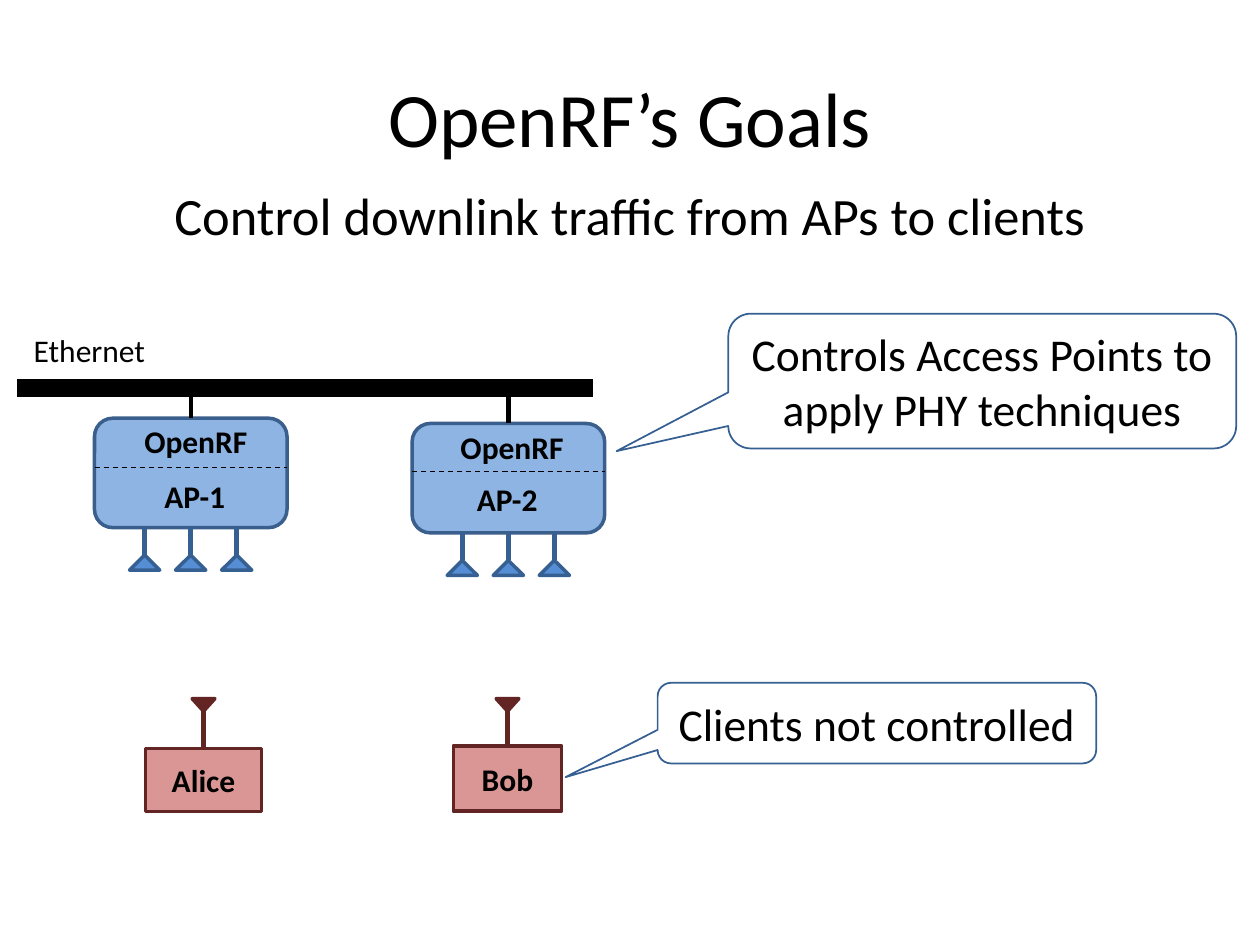
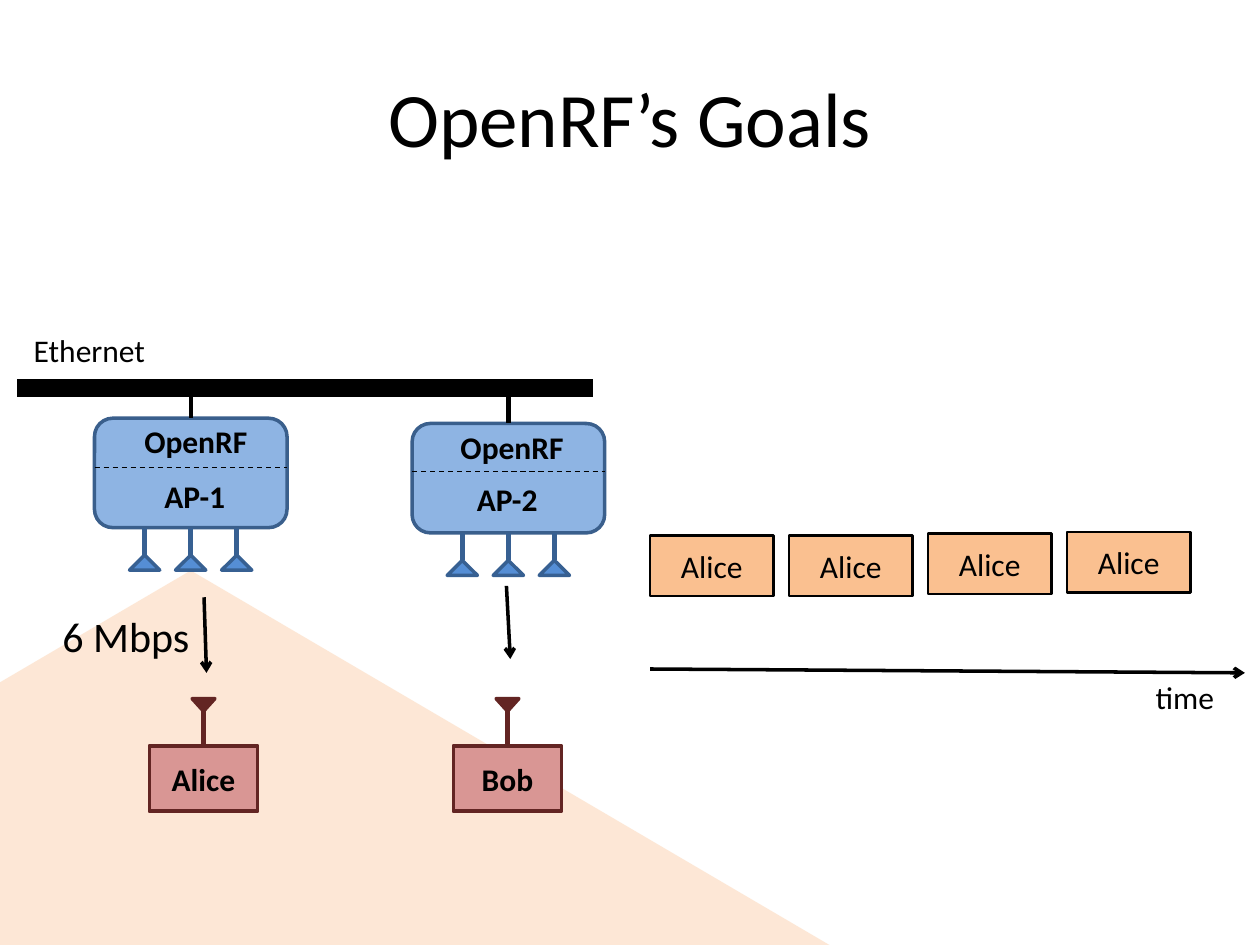
"""Build two slides on the goals of OpenRF with access points and clients."""
from lxml.etree import SubElement
from pptx import Presentation
from pptx.dml.color import RGBColor
from pptx.enum.dml import MSO_LINE_DASH_STYLE as Dash
from pptx.enum.shapes import MSO_CONNECTOR as Connector, MSO_SHAPE as Shape
from pptx.enum.text import MSO_ANCHOR as Anchor, MSO_AUTO_SIZE as AutoSize, PP_ALIGN as Align
from pptx.oxml.ns import qn
from pptx.util import Pt

FONT = "Calibri"
COLORS = {
    "black": "000000",
    "access_point": "8EB4E3",
    "access_point_edge": "3A5F8C",
    "antenna": "558ED5",
    "antenna_edge": "376092",
    "client": "D99694",
    "client_edge": "632523",
    "packet": "FAC090",
    "beam": "FCD5B5",
}


def draw_shape(slide, kind, box, fill=None, edge=None, width=1, text="", size=18, bold=False):
    lengths = [Pt(value) for value in box]
    if kind is None:
        shape = slide.shapes.add_textbox(*lengths)
    else:
        shape = slide.shapes.add_shape(kind, *lengths)
        shape.shadow.inherit = False
    if fill:
        shape.fill.solid()
        shape.fill.fore_color.rgb = RGBColor.from_string(COLORS[fill])
    else:
        shape.fill.background()
    if edge:
        shape.line.color.rgb = RGBColor.from_string(COLORS[edge])
        shape.line.width = Pt(width)
    else:
        shape.line.fill.background()
    if text:
        frame = shape.text_frame
        frame.text = text
        frame.word_wrap = kind is not None
        if kind is not None:
            frame.vertical_anchor = Anchor.MIDDLE
            frame.margin_left = frame.margin_right = frame.margin_top = frame.margin_bottom = 0
        paragraph = frame.paragraphs[0]
        paragraph.alignment = Align.CENTER
        font = paragraph.runs[0].font
        font.name, font.size, font.bold = FONT, Pt(size), bold
        font.color.rgb = RGBColor.from_string(COLORS["black"])
    return shape


def draw_line(slide, points, color="black", width=2, dash=None, arrow=False):
    connector = slide.shapes.add_connector(Connector.STRAIGHT, *[Pt(value) for value in points])
    connector.line.color.rgb = RGBColor.from_string(COLORS[color])
    connector.line.width = Pt(width)
    if dash:
        connector.line.dash_style = dash
    properties = connector._element.spPr
    if arrow:
        SubElement(properties.find(qn("a:ln")), qn("a:tailEnd"), type="arrow")
    SubElement(properties, qn("a:effectLst"))
    return connector


presentation = Presentation()
presentation.slide_width, presentation.slide_height = Pt(720), Pt(540)
goals_slide = presentation.slides.add_slide(presentation.slide_layouts[1])
traffic_slide = presentation.slides.add_slide(presentation.slide_layouts[5])

subtitle = goals_slide.placeholders[1]
subtitle.left, subtitle.top, subtitle.width, subtitle.height = Pt(0), Pt(101), Pt(720), Pt(49)
subtitle.text_frame.text = "Control downlink traffic from APs to clients"
subtitle.text_frame.auto_size = AutoSize.NONE
paragraph = subtitle.text_frame.paragraphs[0]
paragraph.alignment = Align.CENTER
paragraph.space_before = Pt(0)
paragraph_properties = paragraph._p.get_or_add_pPr()
paragraph_properties.set("marL", "0")
paragraph_properties.set("indent", "0")
SubElement(paragraph_properties, qn("a:buNone"))
font = paragraph.runs[0].font
font.name, font.size = FONT, Pt(30)
font.color.rgb = RGBColor.from_string(COLORS["black"])

beam = draw_shape(traffic_slide, Shape.TRAPEZOID, (-264.5, 326, 747, 219), "beam")
beam.adjustments[0] = 1.84
beam_color = beam._element.spPr.find(qn("a:solidFill"))[0]
SubElement(beam_color, qn("a:alpha"), val="55000")

BUS_Y = 221.8
AP_WIDTH, AP_HEIGHT = 110, 62.5
ANTENNA_GAP, ANTENNA_WIDTH, ANTENNA_HEIGHT = 26.3, 17.3, 8.6
access_points = [
    ("AP-1", 54, 239, 267, (81.4, 269.3, 59.8, 28.8), (74.9, 237.6, 74, 28.8)),
    ("AP-2", 235.5, 242, 269.3, (256.3, 270.7, 67, 28.8), (255.6, 241.2, 74, 28.8)),
]
narrow_client, wide_client = (426.2, 61.9, 37.4), (427.7, 66.2, 36)
ALICE_X, BOB_X = 116.3, 290

for slide, alice_size in ((goals_slide, wide_client), (traffic_slide, narrow_client)):
    title = slide.shapes.title
    title.left, title.top, title.width, title.height = Pt(36), Pt(21.6), Pt(648), Pt(90)
    title.text_frame.text = "OpenRF’s Goals"
    title.text_frame.vertical_anchor = Anchor.MIDDLE
    title.text_frame.paragraphs[0].alignment = Align.CENTER
    font = title.text_frame.paragraphs[0].runs[0].font
    font.name, font.size = FONT, Pt(44)
    font.color.rgb = RGBColor.from_string(COLORS["black"])

    draw_line(slide, (10, BUS_Y, 339, BUS_Y), width=10)
    draw_shape(slide, None, (11.5, 185.8, 79.2, 28.8), text="Ethernet")

    for name, left, top, divider_y, name_box, system_box in access_points:
        center, bottom = left + AP_WIDTH / 2, top + AP_HEIGHT
        access_point = draw_shape(slide, Shape.ROUNDED_RECTANGLE, (left, top, AP_WIDTH, AP_HEIGHT),
                                  "access_point", "access_point_edge", 2)
        uplink = draw_line(slide, (center, BUS_Y, center, top), width=2.5)
        uplink.end_connect(access_point, 0)
        for step in (-1, 0, 1):
            antenna_x, tip_y = center + step * ANTENNA_GAP, bottom + 15.7
            mast = draw_line(slide, (antenna_x, bottom, antenna_x, tip_y), "antenna_edge", 3)
            if step == 0:
                mast.begin_connect(access_point, 2)
            draw_shape(slide, Shape.ISOSCELES_TRIANGLE,
                       (antenna_x - ANTENNA_WIDTH / 2, tip_y, ANTENNA_WIDTH, ANTENNA_HEIGHT),
                       "antenna", "antenna_edge", 2)
        draw_line(slide, (left, divider_y, left + AP_WIDTH, divider_y), width=0.75, dash=Dash.DASH)
        draw_shape(slide, None, system_box, text="OpenRF", bold=True)
        draw_shape(slide, None, name_box, text=name, bold=True)

    for name, center, (top, width, height) in (("Alice", ALICE_X, alice_size),
                                               ("Bob", BOB_X, narrow_client)):
        client = draw_shape(slide, Shape.RECTANGLE, (center - width / 2, top, width, height),
                            "client", "client_edge", 2, name, bold=True)
        mast = draw_line(slide, (center, 405.4, center, top), "client_edge", 3)
        mast.end_connect(client, 0)
        antenna = draw_shape(slide, Shape.ISOSCELES_TRIANGLE, (center - 6.5, 399.2, 13, 7.2),
                             "client_edge", "client_edge", 2)
        antenna.rotation = 180

callouts = [
    ("Controls Access Points to apply PHY techniques", (416.2, 179.3, 290.2, 77), -0.72, 0.52),
    ("Clients not controlled", (375.8, 390.2, 250.6, 46.1), -0.71, 0.67),
]
for text, box, tip_x, tip_y in callouts:
    callout = draw_shape(goals_slide, Shape.ROUNDED_RECTANGULAR_CALLOUT, box,
                         edge="antenna_edge", text=text, size=26)
    callout.adjustments[0], callout.adjustments[1] = tip_x, tip_y

downlinks = [(116.6, 341.3, 118, 384.5), (289.4, 334.8, 291.6, 376.6)]
time_axis = (371.5, 382.3, 711.4, 384.5)
for points in downlinks + [time_axis]:
    draw_line(traffic_slide, points, arrow=True)
draw_shape(traffic_slide, None, (28.1, 345.6, 87.8, 36), text="6 Mbps", size=24)
draw_shape(traffic_slide, None, (653, 383.8, 48.2, 28.8), text="time")

for index, top in enumerate((306, 306, 305, 304)):
    draw_shape(traffic_slide, Shape.RECTANGLE, (371.5 + index * 79.4, top, 70.5, 34.5),
               "packet", "black", 1.5, "Alice")

presentation.save("out.pptx")
